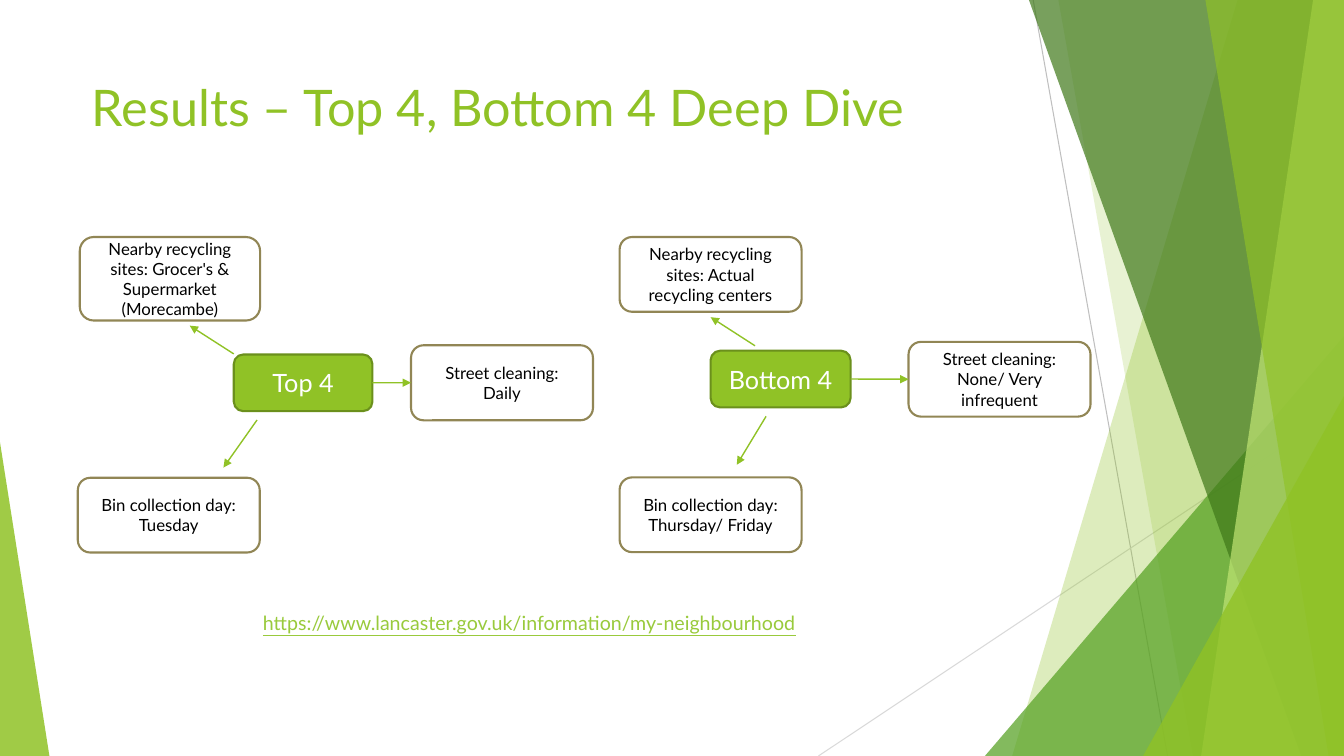
from lxml import etree
from pptx import Presentation
from pptx.dml.color import RGBColor
from pptx.enum import shapes, text
from pptx.oxml import ns
from pptx.util import Pt

WIDTH, HEIGHT = 960, 540
GREEN, DARK_GREEN, BROWN, WHITE, BLACK = "90C226", "6B901C", "918655", "FFFFFF", "000000"
TITLE = "Results – Top 4, Bottom 4 Deep Dive"
LINK = "https://www.lancaster.gov.uk/information/my-neighbourhood"

# Background lines: start x, start y, end x, end y, colour
RAYS = [(738, 0, 834, HEIGHT, "BFBFBF"), (WIDTH, 290, 584.6, HEIGHT, "D9D9D9")]
# Bands reach the right edge: (top x, bottom x)
# Triangles stand on the bottom edge: (left, top, width, apex position)
FACETS = [
    ("band", (884, 723), GREEN, 30),
    ("band", (756, 852), GREEN, 20),
    ("triangle", (703.5, 240, 256.5, 1), "54A021", 72),
    ("band", (735, 929.5), "3F7819", 70),
    ("band", (938, 858), "C0E474", 70),
    ("band", (861, 949), GREEN, 65),
    ("triangle", (816.5, 283, 143.5, 1), GREEN, 80),
    ("triangle", (0, 316, 35.3, 0), GREEN, 85),
]
# Each group: hub, its street cleaning box, other boxes, free arrows
GROUPS = [
    {
        "hub": ("Top 4", (167, 253.2, 99, 40.5)),
        "street": ("Street cleaning: Daily", (293.6, 246.6, 130, 53.6)),
        "details": [
            ("Nearby recycling sites: Grocer's & Supermarket (Morecambe)", (57, 169.3, 128.8, 59.6)),
            ("Bin collection day: Tuesday", (55.6, 341.3, 130, 53.4)),
        ],
        "arrows": [(167, 252.8, 135.5, 232.6), (183.6, 300, 159.6, 334)],
    },
    {
        "hub": ("Bottom 4", (507.6, 250.5, 100, 40.5)),
        "street": ("Street cleaning: None/ Very infrequent", (649, 244.2, 130, 53.4)),
        "details": [
            ("Nearby recycling sites: Actual recycling centers", (442.6, 169.3, 130, 53.4)),
            ("Bin collection day: Thursday/ Friday", (442.6, 341, 130, 53.4)),
        ],
        "arrows": [(539.3, 247, 507.6, 226.6), (547.2, 297.4, 526.3, 332)],
    },
]


def rgb(value):
    return RGBColor.from_string(value)


def points(values):
    return [Pt(value) for value in values]


def write(shape, content, size, color, align, anchor, underline=None):
    frame = shape.text_frame
    frame.text = content
    frame_format = {"word_wrap": True, "auto_size": text.MSO_AUTO_SIZE.NONE,
                    "vertical_anchor": anchor}
    for name, value in frame_format.items():
        setattr(frame, name, value)
    paragraph = frame.paragraphs[0]
    paragraph.alignment = align
    font = paragraph.runs[0].font
    for name, value in {"name": "Lato", "size": Pt(size), "underline": underline}.items():
        setattr(font, name, value)
    font.color.rgb = rgb(color)


def add_line(slide, ends, color, width, arrow=False):
    line = slide.shapes.add_connector(shapes.MSO_CONNECTOR.STRAIGHT, *points(ends))
    line.line.color.rgb = rgb(color)
    line.line.width = Pt(width)
    properties = line.element.spPr
    if arrow:
        etree.SubElement(line.line._get_or_add_ln(), ns.qn("a:tailEnd"), type="triangle")
    etree.SubElement(properties, ns.qn("a:effectLst"))
    return line


def add_facet(slide, kind, place, color, opacity):
    if kind == "band":
        top_x, bottom_x = place
        corners = [points(corner) for corner in
                   ((top_x, 0), (WIDTH, 0), (WIDTH, HEIGHT), (bottom_x, HEIGHT))]
        builder = slide.shapes.build_freeform(*corners[0])
        builder.add_line_segments(corners[1:], close=True)
        facet = builder.convert_to_shape()
    else:
        left, top, width, apex = place
        facet = slide.shapes.add_shape(shapes.MSO_SHAPE.ISOSCELES_TRIANGLE,
                                       *points((left, top, width, HEIGHT - top)))
        facet.adjustments[0] = apex
    facet.shadow.inherit = False
    facet.line.fill.background()
    facet.fill.solid()
    facet.fill.fore_color.rgb = rgb(color)
    color_element = facet.element.spPr.find(".//" + ns.qn("a:srgbClr"))
    etree.SubElement(color_element, ns.qn("a:alpha"), val=str(opacity * 1000))


def add_box(slide, content, place, fill, outline, color, size):
    box = slide.shapes.add_shape(shapes.MSO_SHAPE.ROUNDED_RECTANGLE, *points(place))
    box.shadow.inherit = False
    box.fill.solid()
    box.fill.fore_color.rgb = rgb(fill)
    box.line.color.rgb = rgb(outline)
    box.line.width = Pt(1.5)
    write(box, content, size, color, text.PP_ALIGN.CENTER, text.MSO_ANCHOR.MIDDLE)
    return box


def add_group(slide, group):
    hub = add_box(slide, *group["hub"], GREEN, DARK_GREEN, WHITE, 18)
    street, *_ = [add_box(slide, *detail, WHITE, BROWN, BLACK, 12)
                  for detail in [group["street"], *group["details"]]]
    for ends in group["arrows"]:
        add_line(slide, ends, GREEN, 1, arrow=True)
    link = add_line(slide, (0, 0, 0, 0), GREEN, 1, arrow=True)
    link.begin_connect(hub, 3)
    link.end_connect(street, 1)


def main():
    presentation = Presentation()
    presentation.slide_width, presentation.slide_height = Pt(WIDTH), Pt(HEIGHT)
    slide = presentation.slides.add_slide(presentation.slide_layouts[5])
    for *ends, color in RAYS:
        add_line(slide, ends, color, 0.75)
    for facet in FACETS:
        add_facet(slide, *facet)

    title = slide.shapes.title
    title.left, title.top, title.width, title.height = points((58.3, 50.4, 677, 104))
    write(title, TITLE, 36, GREEN, text.PP_ALIGN.LEFT, text.MSO_ANCHOR.TOP)
    for group in GROUPS:
        add_group(slide, group)
    address = slide.shapes.add_textbox(*points((180.7, 432.5, 447, 24.5)))
    write(address, LINK, 14, "99CA3C", text.PP_ALIGN.LEFT, text.MSO_ANCHOR.TOP, underline=True)
    presentation.save("out.pptx")


if __name__ == "__main__":
    main()
